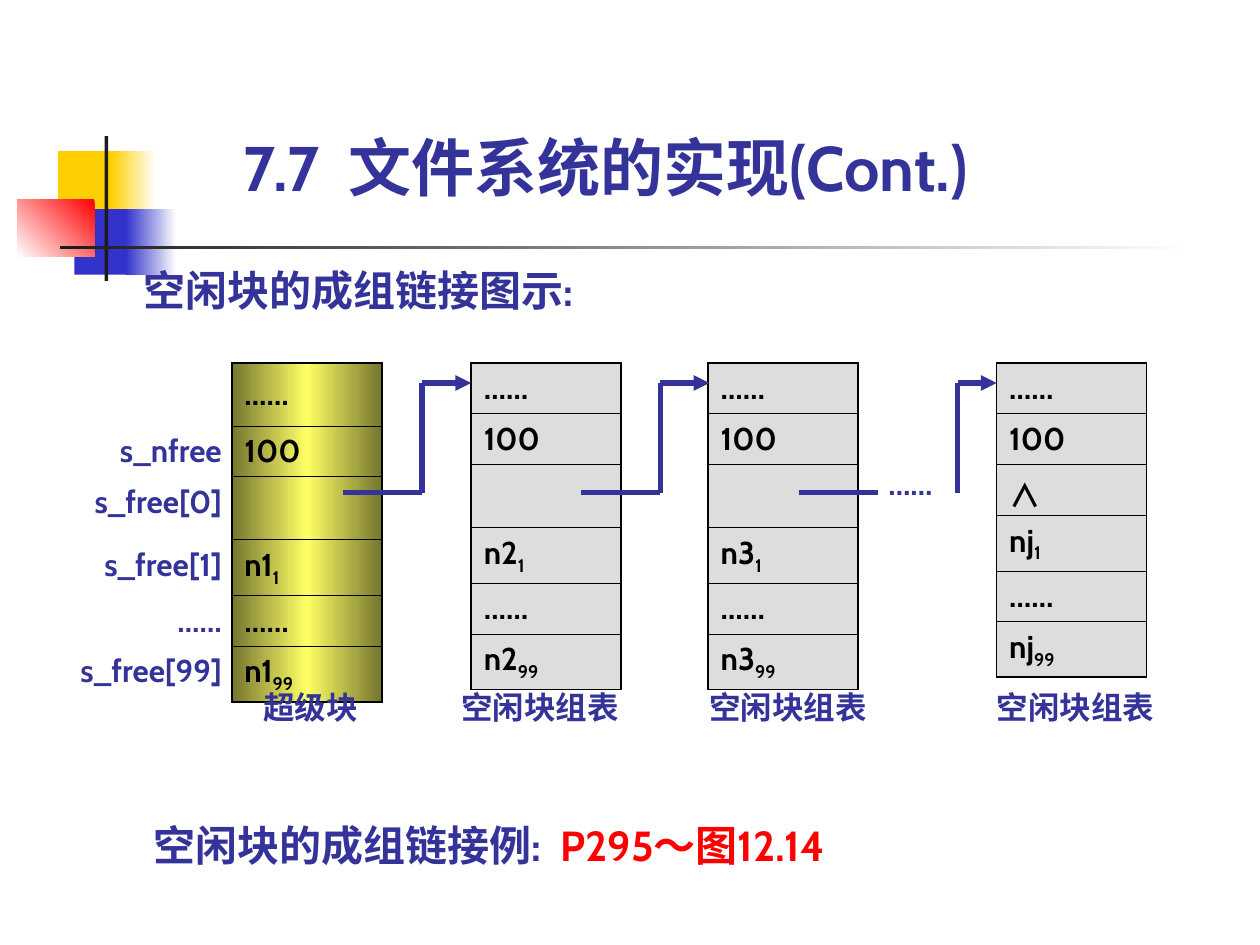
from copy import deepcopy
from lxml.etree import SubElement
from pptx import Presentation
from pptx.dml.color import RGBColor
from pptx.enum.shapes import MSO_CONNECTOR, MSO_SHAPE
from pptx.enum.text import MSO_ANCHOR, MSO_AUTO_SIZE, PP_ALIGN
from pptx.oxml import parse_xml
from pptx.oxml.ns import nsdecls, qn
from pptx.util import Inches, Pt

C = {"navy": "333399", "black": "000000", "red": "FF0000", "white": "FFFFFF",
     "gold": "FFCF01", "blue": "3333CC", "ink": "1C1C1C", "gray": "DDDDDD",
     "olive": "75752F", "yellow": "FFFF66"}
PLAIN_TABLE = "{2D5ABB26-0587-4C30-8999-92F81FD0307C}"


def write(tf, *runs, size=18, color="navy", font="Cabin", align=PP_ALIGN.LEFT, spacing=None):
    p = tf.paragraphs[0]
    p.alignment = align
    if spacing:
        p.line_spacing = spacing
    for text, style in runs:
        r = p.add_run()
        r.text = text
        r.font.name = style.get("font", font)
        r.font.size = Pt(size)
        r.font.bold = True
        r.font.color.rgb = RGBColor.from_string(C[style.get("color", color)])
        if style.get("sub"):
            r.font._element.set("baseline", "-25000")


def paint(fill, colors, angle=180):
    if len(colors) == 1:
        fill.solid()
        fill.fore_color.rgb = RGBColor.from_string(C[colors[0]])
        return
    fill.gradient()
    fill.gradient_angle = angle
    if len(colors) == 3:
        stops = fill.gradient_stops[0]._gs.getparent()
        stops.append(deepcopy(stops[-1]))
    for i, (stop, color) in enumerate(zip(fill.gradient_stops, colors)):
        stop.color.rgb = RGBColor.from_string(C[color])
        stop.position = i / (len(colors) - 1)


prs = Presentation()
prs.slide_width, prs.slide_height = Inches(10), Inches(7.5)
s = prs.slides.add_slide(prs.slide_layouts[5])

decor = [
    (0.46, 1.2, 0.48, 0.52, ["gold"], 180),
    (0.88, 1.2, 0.36, 0.52, ["white", "gold"], 180),
    (0.59, 1.66, 0.46, 0.52, ["blue"], 180),
    (1, 1.66, 0.4, 0.52, ["white", "blue"], 180),
    (0.14, 1.58, 0.61, 0.46, ["red", "white"], 225),
    (0.83, 1.08, 0.03, 1.15, ["ink"], 180),
    (0.48, 1.95, 9, 0.03, ["white", "ink"], 180),
]
for x, y, w, h, colors, angle in decor:
    sp = s.shapes.add_shape(MSO_SHAPE.RECTANGLE, Inches(x), Inches(y), Inches(w), Inches(h))
    sp.shadow.inherit = False
    sp.line.fill.background()
    paint(sp.fill, colors, angle)

title = s.shapes.title
title.left, title.top, title.width, title.height = map(Inches, (1.93, 1.02, 6.46, 0.6))
tf = title.text_frame
tf.margin_left = tf.margin_top = tf.margin_right = tf.margin_bottom = 0
tf.vertical_anchor = MSO_ANCHOR.BOTTOM
tf.word_wrap = True
tf.auto_size = MSO_AUTO_SIZE.SHAPE_TO_FIT_TEXT
write(tf, ("7.7  文件系统的实现(Cont.)", {}), size=36)

labels = ["", "s_nfree", "s_free[0]", "s_free[1]", "……", "s_free[99]"]
tables = [("n1", 0.43, ""), ("n2", 3.74, ""), ("n3", 5.62, ""), ("nj", 7.91, "∧")]
for name, x, link in tables:
    is_super = name == "n1"
    widths = [1.41, 1.19] if is_super else [1.19]
    gf = s.shapes.add_table(6, len(widths), Inches(x), Inches(2.88),
                            Inches(sum(widths)), Inches(2.42))
    gf._element.find(".//" + qn("a:tableStyleId")).text = PLAIN_TABLE
    tbl = gf.table
    tbl.first_row = tbl.horz_banding = False
    for col, width in zip(tbl.columns, widths):
        col.width = Inches(width)
    values = [[("……", {})], [("100", {})],
              [(link, {"font": "Noto Sans CJK KR"})] if link else [],
              [(name, {}), ("1", {"sub": True})], [("……", {})],
              [(name, {}), ("99", {"sub": True})]]
    for i, runs in enumerate(values):
        cell = tbl.cell(i, len(widths) - 1)
        cell.vertical_anchor = MSO_ANCHOR.MIDDLE
        paint(cell.fill, ["olive", "yellow", "olive"] if is_super else ["gray"])
        write(cell.text_frame, *runs, color="black")
        borders = {"L": 1.08, "R": 1.08, "T": 0.45 if i else 1.08, "B": 0.45 if i < 5 else 1.08}
        for n, (side, width) in enumerate(borders.items()):
            cell._tc.get_or_add_tcPr().insert(n, parse_xml(
                f'<a:ln{side} {nsdecls("a")} w="{Pt(width)}"><a:solidFill>'
                f'<a:srgbClr val="{C["black"]}"/></a:solidFill></a:ln{side}>'))
        if is_super:
            label = tbl.cell(i, 0)
            label.margin_right = Inches(0.08)
            if labels[i]:
                write(label.text_frame, (labels[i], {}), align=PP_ALIGN.RIGHT)
    for cell in tbl.iter_cells():
        if not cell.text:
            SubElement(cell.text_frame.paragraphs[0]._p, qn("a:endParaRPr"), sz="2400")

low, high = 3.91, 3.04
routes = [
    [(2.72, low), (3.35, low), (3.35, high), (3.74, high)],
    [(4.61, low), (5.24, low), (5.24, high), (5.63, high)],
    [(6.34, low), (6.97, low)],
    [(7.6, low), (7.6, high), (7.91, high)],
]
for route in routes:
    for (x1, y1), (x2, y2) in zip(route, route[1:]):
        line = s.shapes.add_connector(MSO_CONNECTOR.STRAIGHT, Inches(x1), Inches(y1),
                                      Inches(x2), Inches(y2))
        line.line.width = Pt(3)
        line.line.color.rgb = RGBColor.from_string(C["navy"])
        if y2 == high:
            if y1 == high:
                SubElement(line.line._get_or_add_ln(), qn("a:tailEnd"), type="triangle")
        SubElement(line._element.spPr, qn("a:effectLst"))

texts = [
    (1.14, 2.02, 3.62, 0.48, 24, 1.2, [("空闲块的成组链接图示:", {})]),
    (2.09, 5.4, 0.87, 0.36, 18, 1.2, [("超级块", {})]),
    (7.05, 3.72, 0.55, 0.27, 18, 0.9, [("……", {})]),
    (1.22, 6.42, 6.14, 0.48, 24, 1.2,
     [("空闲块的成组链接例:", {}), ("  P295～图12.14", {"color": "red"})]),
]
for x in (3.66, 5.63, 7.91):
    texts.append((x, 5.4, 1.26, 0.36, 18, 1.2, [("空闲块组表", {})]))
for x, y, w, h, size, spacing, runs in texts:
    tf = s.shapes.add_textbox(Inches(x), Inches(y), Inches(w), Inches(h)).text_frame
    tf.margin_left = tf.margin_top = tf.margin_right = tf.margin_bottom = 0
    tf.word_wrap = True
    tf.auto_size = MSO_AUTO_SIZE.SHAPE_TO_FIT_TEXT
    write(tf, *runs, size=size, spacing=spacing)

prs.save("out.pptx")
